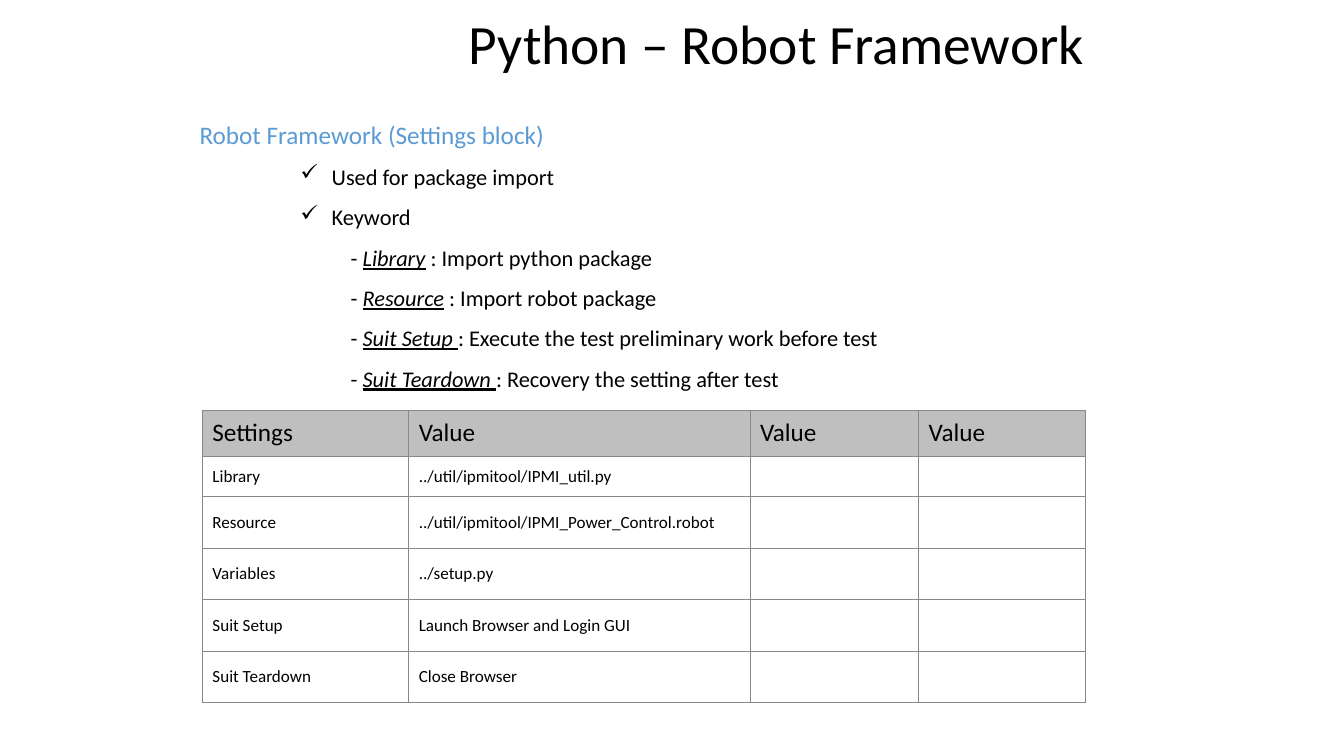
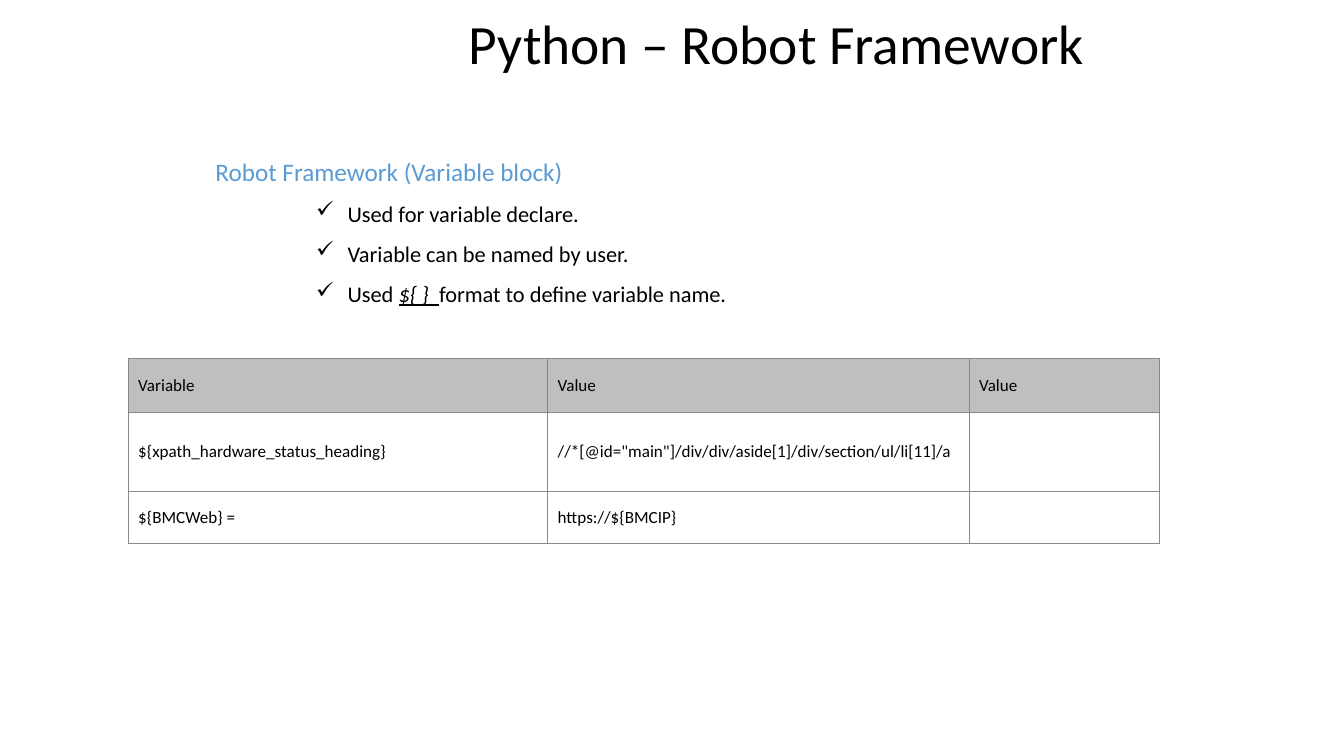
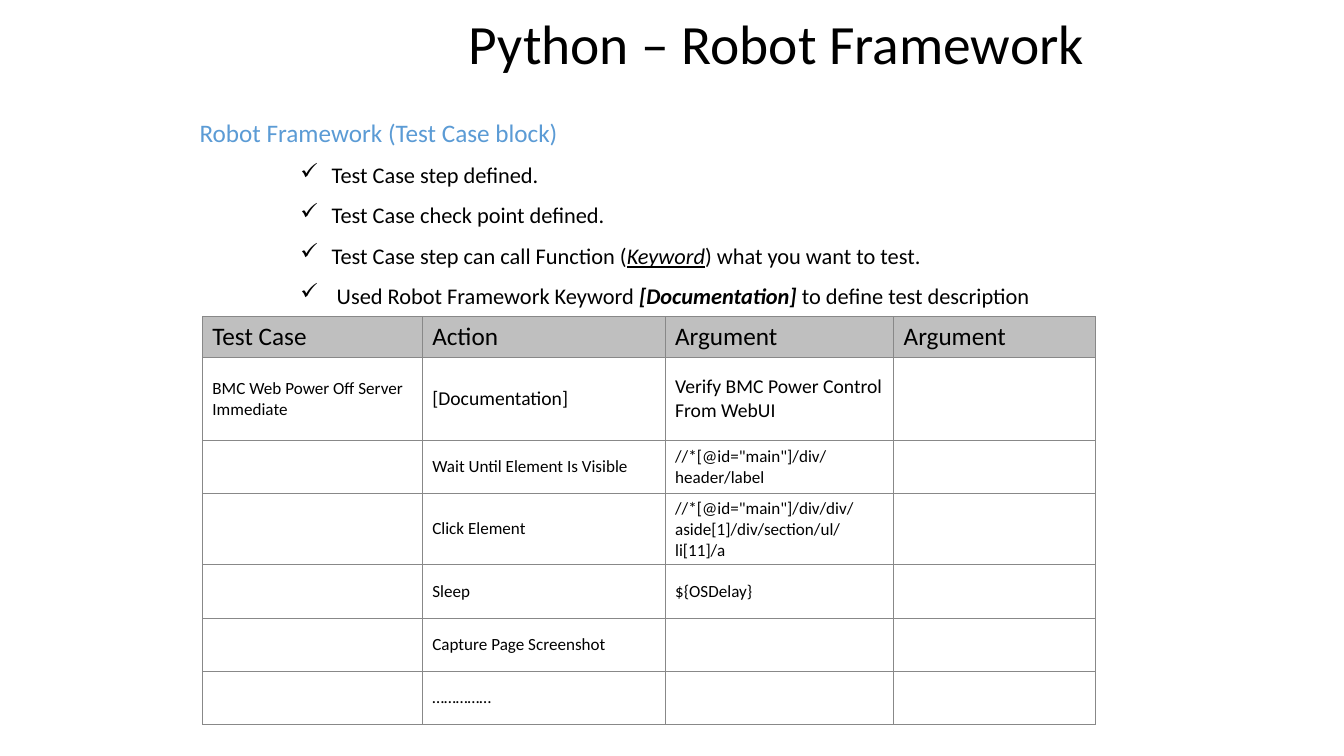
import pptx
import pptx.dml.color
import pptx.enum.text
import pptx.oxml
import pptx.oxml.ns
import pptx.util

Cm = pptx.util.Cm
Pt = pptx.util.Pt
RGBColor = pptx.dml.color.RGBColor

BLACK = RGBColor(0x00, 0x00, 0x00)
WHITE = RGBColor(0xFF, 0xFF, 0xFF)
BLUE = RGBColor(0x5B, 0x9B, 0xD5)
HEADER_GRAY = RGBColor(0xBF, 0xBF, 0xBF)
BORDER_GRAY = RGBColor(0x88, 0x88, 0x88)
NAMESPACE = pptx.oxml.ns.nsdecls("a")

# Paragraph kinds: level, left margin, first-line indent, size, colour, bullet
HEADING = (0, Cm(0), Cm(0), 18, BLUE, None)
CHECK = (2, Cm(3.33), Cm(-0.79), 16, BLACK, "✓")
DETAIL = (3, Cm(3.81), Cm(0), 16, BLACK, None)


class Deck:
    """Holds the shared style and the current slide."""

    font_name = "Calibri"
    title_text = "Python – Robot Framework"
    cell_size = 12.2

    def __init__(self):
        self.presentation = pptx.Presentation()
        self.presentation.slide_width = Cm(33.87)
        self.presentation.slide_height = Cm(19.05)
        self.slide = None

    def format_run(self, run, size, color, style=""):
        """Style letters: b is bold, i is italic, u is underlined."""
        font = run.font
        font.name = self.font_name
        font.size = Pt(size)
        font.color.rgb = color
        font.bold = "b" in style
        font.italic = "i" in style
        font.underline = "u" in style

    def add_slide(self):
        layout = self.presentation.slide_layouts.get_by_name("Title Only")
        self.slide = self.presentation.slides.add_slide(layout)
        title = self.slide.shapes.title
        title.left, title.top = Cm(11.56), Cm(0.58)
        title.width, title.height = Cm(17.65), Cm(1.19)
        text_frame = title.text_frame
        text_frame.text = self.title_text
        text_frame.word_wrap = True
        text_frame.auto_size = pptx.enum.text.MSO_AUTO_SIZE.NONE
        text_frame.vertical_anchor = pptx.enum.text.MSO_ANCHOR.MIDDLE
        paragraph = text_frame.paragraphs[0]
        paragraph.alignment = pptx.enum.text.PP_ALIGN.LEFT
        paragraph.line_spacing = 0.9
        self.format_run(paragraph.runs[0], 39.6, BLACK)

    def add_outline(self, left, top, height, lines):
        """Each line is a kind followed by runs: plain text or (text, style)."""
        box = self.slide.shapes.add_textbox(left, top, Cm(24.94), height)
        text_frame = box.text_frame
        text_frame.word_wrap = True
        text_frame.auto_size = pptx.enum.text.MSO_AUTO_SIZE.SHAPE_TO_FIT_TEXT
        for index, (kind, *runs) in enumerate(lines):
            level, margin, indent, size, color, bullet = kind
            paragraph = text_frame.add_paragraph() if index else text_frame.paragraphs[0]
            paragraph.level = level
            paragraph.line_spacing = 1.5
            properties = paragraph._p.get_or_add_pPr()
            properties.set("marL", str(int(margin)))
            properties.set("indent", str(int(indent)))
            if bullet:
                properties.append(pptx.oxml.parse_xml(
                    f'<a:buChar {NAMESPACE} char="{bullet}"/>'))
            for item in runs:
                text, style = (item, "") if isinstance(item, str) else item
                run = paragraph.add_run()
                run.text = text
                self.format_run(run, size, color, style)

    def add_borders(self, cell):
        properties = cell._tc.get_or_add_tcPr()
        for side in ("lnL", "lnR", "lnT", "lnB"):
            properties.append(pptx.oxml.parse_xml(
                f'<a:{side} {NAMESPACE} w="{int(Pt(0.6))}"><a:solidFill>'
                f'<a:srgbClr val="{BORDER_GRAY}"/></a:solidFill></a:{side}>'))

    def add_table(self, left, top, widths, heights, rows, header_size, sizes=None):
        """Short rows end in empty cells; sizes overrides (row, column) text sizes."""
        frame = self.slide.shapes.add_table(
            len(heights), len(widths), left, top, Cm(sum(widths)), Cm(sum(heights)))
        table = frame.table
        table.first_row = table.horz_banding = False
        for column, width in zip(table.columns, widths):
            column.width = Cm(width)
        for row, height in zip(table.rows, heights):
            row.height = Cm(height)
        for row_index, texts in enumerate(rows):
            for column_index in range(len(widths)):
                cell = table.cell(row_index, column_index)
                self.add_borders(cell)
                cell.fill.solid()
                cell.fill.fore_color.rgb = WHITE if row_index else HEADER_GRAY
                cell.vertical_anchor = pptx.enum.text.MSO_ANCHOR.MIDDLE
                if column_index >= len(texts) or not texts[column_index]:
                    continue
                cell.text_frame.text = texts[column_index]
                size = self.cell_size if row_index else header_size
                size = (sizes or {}).get((row_index, column_index), size)
                self.format_run(cell.text_frame.paragraphs[0].runs[0], size, BLACK)


def main():
    deck = Deck()

    # Settings block
    deck.add_slide()
    deck.add_outline(Cm(4.78), Cm(2.51), Cm(7.82), [
        (HEADING, "Robot Framework (Settings block)"),
        (CHECK, "Used for package import"),
        (CHECK, "Keyword"),
        (DETAIL, "- ", ("Library", "iu"), " : Import python package"),
        (DETAIL, "- ", ("Resource", "iu"), " : Import robot package"),
        (DETAIL, "- ", ("Suit Setup ", "iu"),
         ": Execute the test preliminary work before test"),
        (DETAIL, "- ", ("Suit Teardown ", "iu"), ": Recovery the setting after test"),
    ])
    deck.add_table(
        Cm(5.1), Cm(10.34), [5.2, 8.6, 4.25, 4.2], [1.15, 0.9] + [1.3] * 4, [
            ("Settings", "Value", "Value", "Value"),
            ("Library", "../util/ipmitool/IPMI_util.py"),
            ("Resource", "../util/ipmitool/IPMI_Power_Control.robot"),
            ("Variables", "../setup.py"),
            ("Suit Setup", "Launch Browser and Login GUI"),
            ("Suit Teardown", "Close Browser"),
        ], header_size=18)

    # Variable block
    deck.add_slide()
    deck.add_outline(Cm(5.18), Cm(3.43), Cm(4.75), [
        (HEADING, "Robot Framework (Variable block)"),
        (CHECK, "Used for variable declare."),
        (CHECK, "Variable can be named by user."),
        (CHECK, "Used ", ("${ }  ", "iu"), "format to define variable name."),
    ])
    deck.add_table(
        Cm(3.23), Cm(9.04), [10.57, 10.62, 4.8], [1.35, 2, 1.3], [
            ("Variable", "Value", "Value"),
            ("${xpath_hardware_status_heading}",
             '//*[@id="main"]/div/div/aside[1]/div/section/ul/li[11]/a'),
            ("${BMCWeb} =", "https://${BMCIP}"),
        ], header_size=deck.cell_size)

    # Test case block
    deck.add_slide()
    deck.add_outline(Cm(4.78), Cm(2.46), Cm(5.51), [
        (HEADING, "Robot Framework (Test Case block)"),
        (CHECK, "Test Case step defined."),
        (CHECK, "Test Case check point defined."),
        (CHECK, "Test Case step can call Function (", ("Keyword", "iu"),
         ") what you want to test."),
        (CHECK, " Used Robot Framework Keyword ", ("[Documentation] ", "bi"),
         "to define test description"),
    ])
    deck.add_table(
        Cm(5.1), Cm(7.98), [5.54, 6.12, 5.76, 5.08],
        [0.8, 2.11, 1.32, 1.32] + [1.34] * 3, [
            ("Test Case", "Action", "Argument", "Argument"),
            ("BMC Web Power Off Server Immediate", "[Documentation]",
             "Verify BMC Power Control From WebUI"),
            ("", "Wait Until Element Is Visible", '//*[@id="main"]/div/header/label'),
            ("", "Click Element",
             '//*[@id="main"]/div/div/aside[1]/div/section/ul/li[11]/a'),
            ("", "Sleep", "${OSDelay}"),
            ("", "Capture Page Screenshot"),
            ("", "……………"),
        ], header_size=18, sizes={(1, 1): 14, (1, 2): 14})

    deck.presentation.save("out.pptx")


if __name__ == "__main__":
    main()
